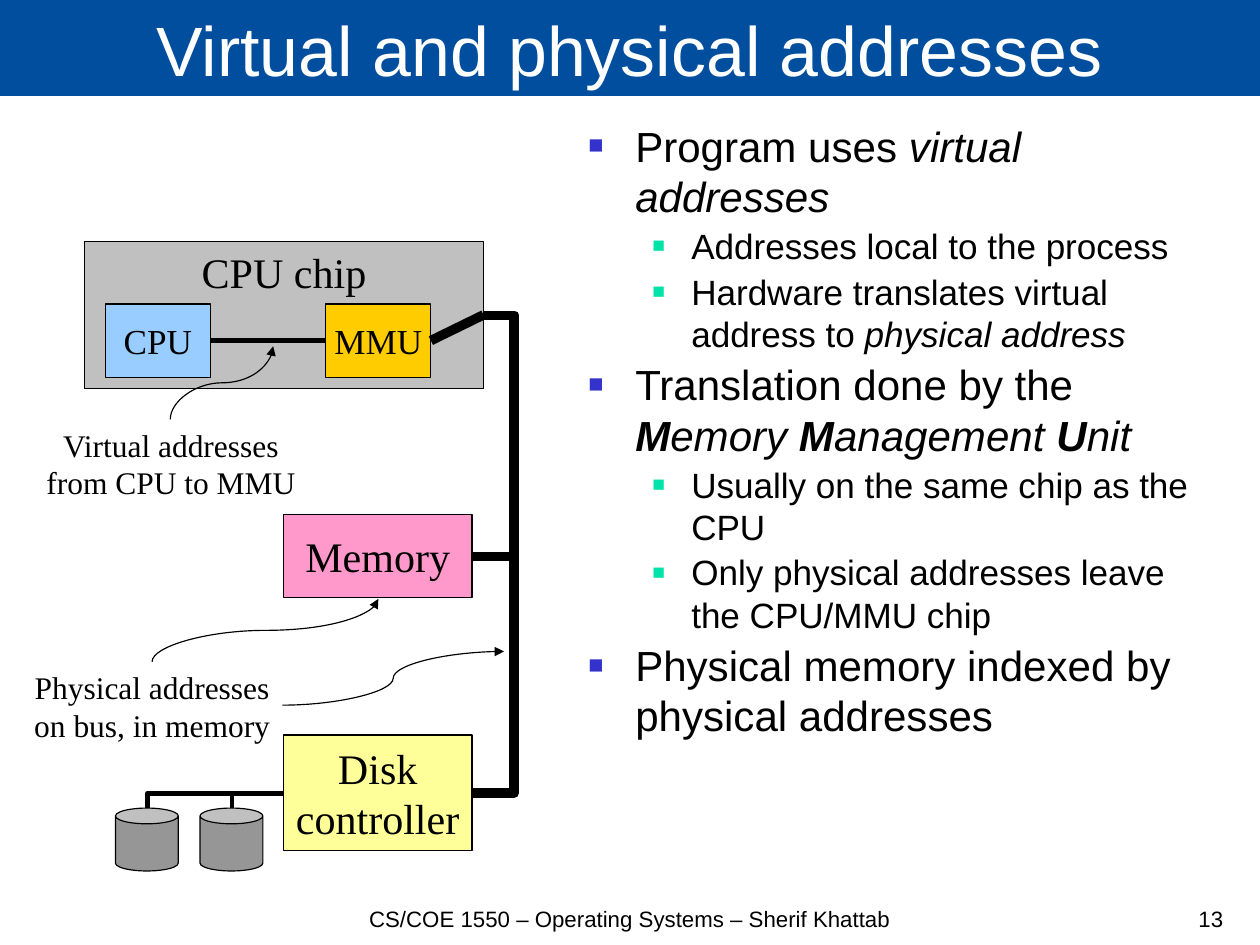
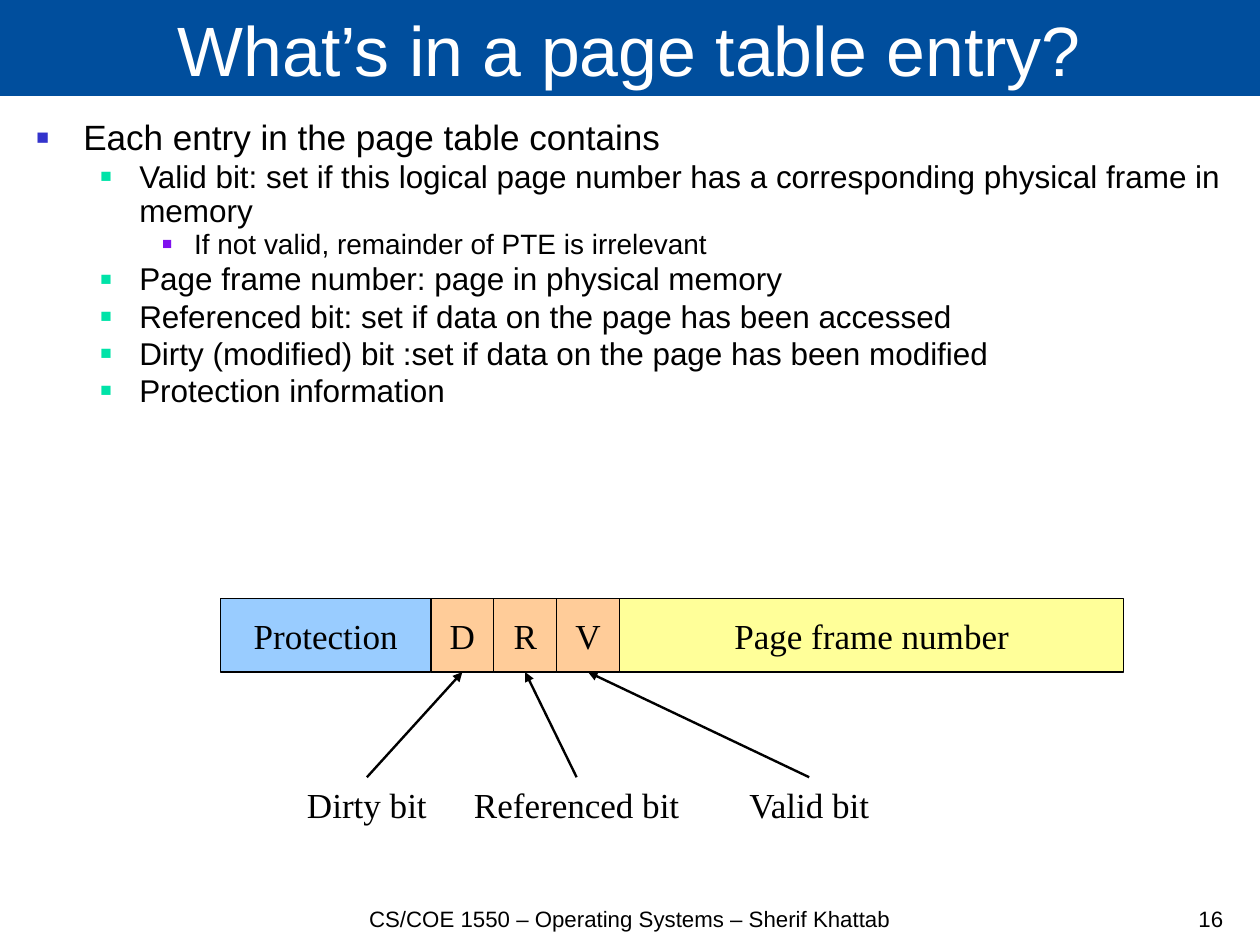
from pptx import Presentation
from pptx import util as u
from pptx.dml.color import RGBColor
from pptx.enum import shapes, text
from pptx.oxml import ns, xmlchemy

Inches, Pt = u.Inches, u.Pt
SHAPE, CONN = shapes.MSO_SHAPE, shapes.MSO_CONNECTOR
ALIGN, ANCHOR = text.PP_ALIGN, text.MSO_ANCHOR

WHITE = RGBColor(0xFF, 0xFF, 0xFF)
BLACK = RGBColor(0, 0, 0)
NAVY = RGBColor(0x00, 0x4E, 0x9D)
SILVER = RGBColor(0xC0, 0xC0, 0xC0)
GRAY = RGBColor(0x96, 0x96, 0x96)
SKY = RGBColor(0x99, 0xCC, 0xFF)
PINK = RGBColor(0xFF, 0x99, 0xCC)
YELLOW = RGBColor(0xFF, 0xFF, 0x99)
GOLD = RGBColor(0xFF, 0xCC, 0x00)
PEACH = RGBColor(0xFF, 0xCC, 0x99)
INDIGO = RGBColor(0x33, 0x33, 0xCC)
MINT = RGBColor(0x00, 0xE3, 0xA8)
VIOLET = RGBColor(0x7F, 0x11, 0xEE)

SANS, SERIF = "Arial", "Times New Roman"
CM = 1 / 2.54
WIDTH, HEIGHT = 28 * CM, 21 * CM
FOOTER = "CS/COE 1550 – Operating Systems – Sherif Khattab"
LEVELS = [
    {"color": INDIGO, "left": 0.41, "hang": 0.41, "before": 0.1},
    {"color": MINT, "left": 0.9, "hang": 0.34, "before": 0.1},
    {"color": VIOLET, "left": 1.38, "hang": 0.28, "before": 0.05},
]


def style(obj, **values):
    for name, value in values.items():
        setattr(obj, name, value)


def child(parent, tag, **attrs):
    el = xmlchemy.OxmlElement(tag)
    for name, value in attrs.items():
        el.set(name, str(value))
    parent.append(el)
    return el


def color_run(r, size, font, color=BLACK, **values):
    style(r.font, size=Pt(size), name=font, **values)
    r.font.color.rgb = color


def write(sp, words, size, font=SERIF, color=BLACK, align=ALIGN.CENTER,
          anchor=ANCHOR.MIDDLE, wrap=False):
    tf = sp.text_frame
    style(tf, word_wrap=wrap, vertical_anchor=anchor)
    p = tf.paragraphs[0]
    style(p, text=words, alignment=align)
    for r in p.runs:
        color_run(r, size, font, color)


def block(s, box, fill, kind=SHAPE.RECTANGLE, outline=True):
    sp = s.shapes.add_shape(kind, *map(Inches, box))
    sp.shadow.inherit = False
    sp.fill.solid()
    sp.fill.fore_color.rgb = fill
    if outline:
        sp.line.color.rgb = BLACK
        sp.line.width = Pt(0.75)
    else:
        sp.line.fill.background()
    return sp


def label(s, box, words, size, **values):
    sp = s.shapes.add_textbox(*map(Inches, box))
    write(sp, words, size, **values)
    return sp


def line(s, start, end, width, kind=CONN.STRAIGHT, arrow=False):
    c = s.shapes.add_connector(kind, *map(Inches, (*start, *end)))
    c.line.color.rgb = BLACK
    c.line.width = Pt(width)
    sp_pr = c._element.spPr
    if arrow:
        child(sp_pr.find(ns.qn("a:ln")), "a:tailEnd", type="triangle")
    child(sp_pr, "a:effectLst")
    return c


def join(s, a, a_site, b, b_site, width, arrow=False):
    c = line(s, (0, 0), (1, 1), width, arrow=arrow)
    c.begin_connect(a, a_site)
    c.end_connect(b, b_site)


def elbow(s, start, end, width, preset="bentConnector3", bend=None):
    c = line(s, start, end, width, CONN.ELBOW)
    geom = c._element.spPr.find(ns.qn("a:prstGeom"))
    geom.set("prst", preset)
    if bend is not None:
        av = geom.find(ns.qn("a:avLst"))
        child(av, "a:gd", name="adj1", fmla=f"val {round(bend * 100000)}")


def rising_curve(s, start, end):
    cx, cy = (start[0] + end[0]) / 2, (start[1] + end[1]) / 2
    half_w, half_h = (start[1] - end[1]) / 2, (end[0] - start[0]) / 2
    c = line(s, (cx + half_w, cy + half_h), (cx - half_w, cy - half_h),
             0.75, CONN.CURVE, True)
    c._element.spPr.find(ns.qn("a:xfrm")).set("rot", "5400000")


def base_slide(prs, title, number):
    s = prs.slides.add_slide(prs.slide_layouts[6])
    band = block(s, (0, -0.01, WIDTH, 0.85), NAVY, outline=False)
    write(band, title, 44, SANS, WHITE, anchor=ANCHOR.BOTTOM, wrap=True)
    for box, words, align in (((2.25, 7.9, 6.52, 0.3), FOOTER, ALIGN.CENTER),
                              ((10.34, 7.9, 0.46, 0.3), number, ALIGN.RIGHT)):
        label(s, box, words, 14, font=SANS, align=align,
              anchor=ANCHOR.BOTTOM, wrap=True)
    return s


def bullets(s, box, items, sizes, spacing=1.0):
    tf = s.shapes.add_textbox(*map(Inches, box)).text_frame
    tf.word_wrap = True
    for i, (level, *runs) in enumerate(items):
        p = tf.add_paragraph() if i else tf.paragraphs[0]
        look, size = LEVELS[level], sizes[level]
        style(p, level=level, line_spacing=spacing,
              space_before=Pt(round(size * look["before"], 1)))
        p_pr = p._p.get_or_add_pPr()
        p_pr.set("marL", str(Inches(look["left"])))
        p_pr.set("indent", str(-Inches(look["hang"])))
        child(child(p_pr, "a:buClr"), "a:srgbClr", val=look["color"])
        child(p_pr, "a:buSzPct", val=60000)
        child(p_pr, "a:buFont", typeface=SANS)
        child(p_pr, "a:buChar", char="■")
        for words, marks in runs:
            r = p.add_run()
            r.text = words
            color_run(r, size, SANS, bold="b" in marks, italic="i" in marks)


def address_diagram(s, left, top):
    def at(x, y, *size):
        return (left + x, top + y, *size)

    bus_x, chip_right, box_right, box_left = 4.31, 4.04, 3.94, 2.29
    chip_mid, memory_mid, disk_mid, can_top = 0.65, 2.76, 4.83, 4.96
    bend = (bus_x - chip_right) / (box_right - chip_right)
    for y in (memory_mid, disk_mid):
        elbow(s, at(chip_right, chip_mid), at(box_right, y), 6, bend=bend)
    for x in (0.82, 1.56):
        elbow(s, at(box_left, disk_mid), at(x + 0.28, can_top), 3,
              "bentConnector2")
        block(s, at(x, can_top, 0.55, 0.55), GRAY, SHAPE.CAN)

    chip = block(s, at(0.55, 0, 3.49, 1.29), SILVER)
    write(chip, "CPU chip", 26.5, anchor=ANCHOR.TOP)
    units = []
    for x, y, w, h, fill, words, size in (
            (0.73, 0.55, 0.92, 0.64, SKY, "CPU", 22.1),
            (2.66, 0.55, 0.92, 0.64, GOLD, "MMU", 22.1),
            (box_left, 2.39, 1.65, 0.73, PINK, "Memory", 26.5),
            (box_left, 4.32, 1.65, 1.01, YELLOW, "Disk\ncontroller", 26.5)):
        sp = block(s, at(x, y, w, h), fill)
        write(sp, words, size)
        units.append(sp)
    cpu, mmu = units[:2]
    join(s, cpu, 3, mmu, 1, 3)
    join(s, mmu, 3, chip, 3, 6)

    label(s, at(0.1, 1.56, 2.41, 0.77),
          "Virtual addresses\nfrom CPU to MMU", 19.8)
    label(s, at(0, 3.68, 2.28, 0.77),
          "Physical addresses\non bus, in memory", 19.8)
    rising_curve(s, at(1.3, 1.56), at(2.2, 0.92))
    rising_curve(s, at(1.14, 3.68), at(3.12, 3.13))
    line(s, at(2.28, 4.06), at(4.22, 3.59), 0.75, CONN.CURVE, True)


def entry_diagram(s, left, top):
    x, cells = left, {}
    for words, w, fill in (("Protection", 1.84, SKY), ("D", 0.55, PEACH),
                           ("R", 0.55, PEACH), ("V", 0.55, PEACH),
                           ("Page frame number", 4.41, YELLOW)):
        cells[words] = block(s, (x, top, w, 0.64), fill)
        write(cells[words], words, 22.1)
        x += w
    for bit, words, dx, w in (("D", "Dirty bit", 0.65, 1.26),
                              ("R", "Referenced bit", 2.11, 2.01),
                              ("V", "Valid bit", 4.52, 1.26)):
        name = label(s, (left + dx, top + 1.56, w, 0.47), words, 22.1)
        join(s, name, 0, cells[bit], 2, 1.5, True)


def addresses_slide(prs):
    s = base_slide(prs, "Virtual and physical addresses", "13")
    bullets(s, (5.05, 1, 5.74, 6.72), [
        (0, ("Program uses ", ""), ("virtual addresses", "i")),
        (1, ("Addresses local to the process", "")),
        (1, ("Hardware translates virtual address to ", ""),
         ("physical address", "i")),
        (0, ("Translation done by the ", ""), ("M", "bi"), ("emory ", "i"),
         ("M", "bi"), ("anagement ", "i"), ("U", "bi"), ("nit", "i")),
        (1, ("Usually on the same chip as the CPU", "")),
        (1, ("Only physical addresses leave the CPU/MMU chip", "")),
        (0, ("Physical memory indexed by physical addresses", "")),
    ], (26.5, 22.1))
    address_diagram(s, 0.19, 2.11)


def entry_slide(prs):
    s = base_slide(prs, "What’s in a page table entry?", "16")
    bullets(s, (0.22, 1, 10.58, 6.72), [
        (0, ("Each entry in the page table contains", "")),
        (1, ("Valid bit: set if this logical page number has a "
             "corresponding physical frame in memory", "")),
        (2, ("If not valid, remainder of PTE is irrelevant", "")),
        (1, ("Page frame number: page in physical memory", "")),
        (1, ("Referenced bit: set if data on the page has been accessed", "")),
        (1, ("Dirty (modified) bit :set if data on the page has been "
             "modified", "")),
        (1, ("Protection information", "")),
    ], (22.1, 19.8, 17.6), 0.9)
    entry_diagram(s, 1.93, 5.24)


def main():
    prs = Presentation()
    style(prs, slide_width=Inches(WIDTH), slide_height=Inches(HEIGHT))
    addresses_slide(prs)
    entry_slide(prs)
    prs.save("out.pptx")


if __name__ == "__main__":
    main()
